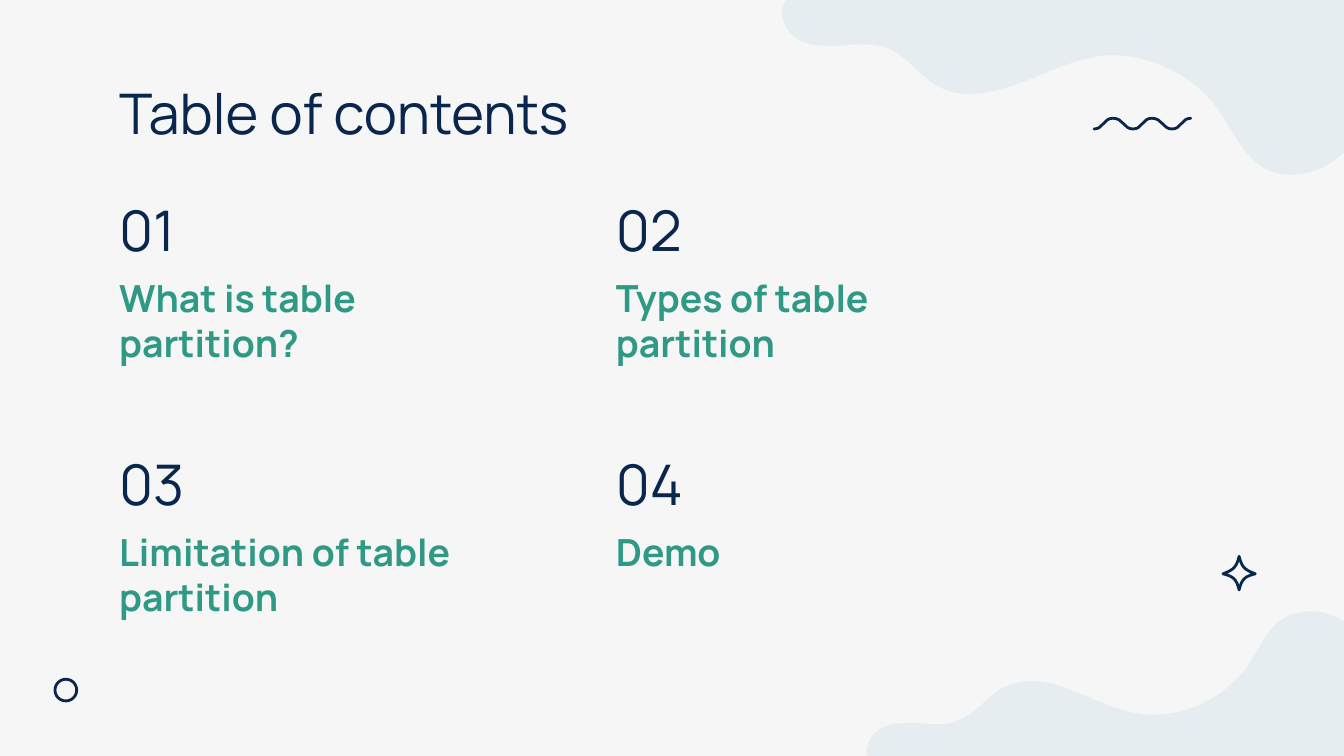
import pptx
import pptx.dml.color
import pptx.enum.shapes
import pptx.enum.text
import pptx.util
from lxml import etree

Cm = pptx.util.Cm
NAVY = pptx.dml.color.RGBColor(0x09, 0x26, 0x4D)
GREEN = pptx.dml.color.RGBColor(0x30, 0x99, 0x85)
MIST = pptx.dml.color.RGBColor(0xD6, 0xE6, 0xEB)
PAPER = pptx.dml.color.RGBColor(0xF6, 0xF6, 0xF6)
FONT = "Manrope"
UNIT = 2.54  # outline coordinates are in inches
ANCHOR = pptx.enum.text.MSO_ANCHOR
qn = pptx.oxml.ns.qn

# Outlines: a start point, then lines (2 numbers) and curves (6 numbers)
TOP_BLOB = [
    (10.18, -0.05), (10.24, 0.74),
    (10.18, 0.92, 10.08, 1.09, 9.92, 1.2), (9.83, 1.26, 9.72, 1.3, 9.61, 1.3),
    (9.53, 1.3, 9.45, 1.28, 9.39, 1.24), (9.24, 1.14, 9.17, 0.97, 9.07, 0.82),
    (8.89, 0.57, 8.58, 0.41, 8.27, 0.41), (8.21, 0.41, 8.14, 0.42, 8.08, 0.44),
    (7.89, 0.48, 7.71, 0.58, 7.53, 0.64), (7.43, 0.67, 7.32, 0.7, 7.22, 0.7),
    (7.13, 0.7, 7.04, 0.68, 6.96, 0.63), (6.83, 0.55, 6.75, 0.42, 6.61, 0.36),
    (6.55, 0.34, 6.49, 0.33, 6.43, 0.33), (6.37, 0.33, 6.32, 0.33, 6.27, 0.34),
    (6.23, 0.34, 6.2, 0.34, 6.16, 0.34), (6.08, 0.34, 6, 0.33, 5.93, 0.29),
    (5.83, 0.22, 5.78, 0.07, 5.86, -0.01),
]
BOTTOM_BLOB = [
    (9.75, 4.55),
    (9.68, 4.55, 9.61, 4.57, 9.55, 4.6), (9.42, 4.68, 9.37, 4.84, 9.28, 4.96),
    (9.12, 5.18, 8.85, 5.32, 8.58, 5.32), (8.52, 5.32, 8.47, 5.31, 8.41, 5.3),
    (8.25, 5.26, 8.09, 5.18, 7.93, 5.12), (7.85, 5.09, 7.76, 5.07, 7.67, 5.07),
    (7.59, 5.07, 7.51, 5.09, 7.44, 5.13), (7.33, 5.2, 7.25, 5.32, 7.13, 5.36),
    (7.08, 5.39, 7.03, 5.39, 6.98, 5.39), (6.93, 5.39, 6.88, 5.39, 6.83, 5.38),
    (6.81, 5.38, 6.78, 5.38, 6.75, 5.38), (6.67, 5.38, 6.6, 5.39, 6.54, 5.43),
    (6.46, 5.48, 6.41, 5.62, 6.48, 5.69), (10.24, 5.72), (10.3, 5.03),
    (10.24, 4.88, 10.15, 4.73, 10.02, 4.64), (9.94, 4.58, 9.84, 4.55, 9.75, 4.55),
]
SPARKLE = [
    (9.1, 4.27),
    (9.18, 4.29, 9.2, 4.31, 9.22, 4.39), (9.24, 4.31, 9.26, 4.29, 9.34, 4.27),
    (9.26, 4.24, 9.24, 4.22, 9.22, 4.14), (9.2, 4.22, 9.18, 4.24, 9.1, 4.27),
]
WAVE = [
    (8.14, 0.96),
    (8.21, 0.96, 8.21, 0.88, 8.28, 0.88), (8.36, 0.88, 8.36, 0.96, 8.43, 0.96),
    (8.5, 0.96, 8.5, 0.88, 8.57, 0.88), (8.65, 0.88, 8.65, 0.96, 8.72, 0.96),
    (8.79, 0.96, 8.79, 0.88, 8.86, 0.88),
]


def draw_outline(page, outline, close=True):
    spots = [(Cm(piece[i] * UNIT), Cm(piece[i + 1] * UNIT))
             for piece in outline for i in range(0, len(piece), 2)]
    builder = page.shapes.build_freeform(*spots[0])
    builder.add_line_segments(spots[1:], close=False)
    shape = builder.convert_to_shape()
    # Turn each run of three straight steps that belongs to a curve into one
    track = shape._element.spPr.find(".//" + qn("a:path"))
    steps = iter(track.findall(qn("a:lnTo")))
    for piece in outline[1:]:
        step = next(steps)
        if len(piece) == 6:
            curve = etree.Element(qn("a:cubicBezTo"))
            step.addprevious(curve)
            for part in (step, next(steps), next(steps)):
                curve.append(part[0])
                track.remove(part)
    if close:
        etree.SubElement(track, qn("a:close"))
    return shape


def write_text(box, place, text, size, color, bold=False, anchor=ANCHOR.TOP):
    box.left, box.top, box.width, box.height = [Cm(length) for length in place]
    frame = box.text_frame
    frame.word_wrap = True
    frame.auto_size = pptx.enum.text.MSO_AUTO_SIZE.NONE
    frame.vertical_anchor = anchor
    frame.margin_left = frame.margin_right = Cm(0.25)
    frame.margin_top = frame.margin_bottom = Cm(0.25)
    para = frame.paragraphs[0]
    para.alignment = pptx.enum.text.PP_ALIGN.LEFT
    para.space_before = pptx.util.Pt(0)
    # No bullet and no hanging indent
    settings = para._p.get_or_add_pPr()
    settings.set("marL", "0")
    settings.set("indent", "0")
    etree.SubElement(settings, qn("a:buNone"))
    span = para.add_run()
    span.text = text
    span.font.name = FONT
    span.font.size = pptx.util.Pt(size)
    span.font.bold = bold
    span.font.color.rgb = color


deck = pptx.Presentation()
deck.slide_width, deck.slide_height = Cm(25.4), Cm(14.29)
page = deck.slides.add_slide(deck.slide_layouts.get_by_name("Comparison"))
page.background.fill.solid()
page.background.fill.fore_color.rgb = PAPER

# Pale blobs behind the text
for outline in (TOP_BLOB, BOTTOM_BLOB):
    blob = draw_outline(page, outline)
    blob.shadow.inherit = False
    blob.fill.solid()
    blob.fill.fore_color.rgb = MIST
    tint = blob._element.spPr.find(".//" + qn("a:srgbClr"))
    etree.SubElement(tint, qn("a:alpha"), val="53000")
    blob.line.fill.background()
    page.shapes.title._element.addprevious(blob._element)

# Title
write_text(page.shapes.title, (2, 1.23, 21.4, 1.6), "Table of contents", 30, NAVY)

# Four numbered topics in a two by two grid
topics = ["What is table partition?", "Types of table partition",
          "Limitation of table partition", "Demo"]
for index, topic in enumerate(topics):
    row, column = divmod(index, 2)
    left, top = 2 + 9.39 * column, 3.71 + 4.81 * row
    number = page.shapes.add_textbox(0, 0, 0, 0)
    write_text(number, (left, top, 2.57, 1.24), f"{index + 1:02}", 30, NAVY,
               anchor=ANCHOR.MIDDLE)
    write_text(page.placeholders[index + 1], (left, top + 1.24, 8.03, 2.44),
               topic, 20, GREEN, bold=True)

# Line ornaments: wave, sparkle and ring
wave = draw_outline(page, WAVE, close=False)
sparkle = draw_outline(page, SPARKLE)
ring = page.shapes.add_shape(pptx.enum.shapes.MSO_SHAPE.OVAL,
                             Cm(1.04), Cm(12.84), Cm(0.41), Cm(0.41))
for ornament in (wave, sparkle, ring):
    ornament.shadow.inherit = False
    ornament.fill.background()
    ornament.line.color.rgb = NAVY
    ornament.line.width = pptx.util.Pt(1.5)
    ornament.line._ln.set("cap", "rnd")

deck.save("out.pptx")
